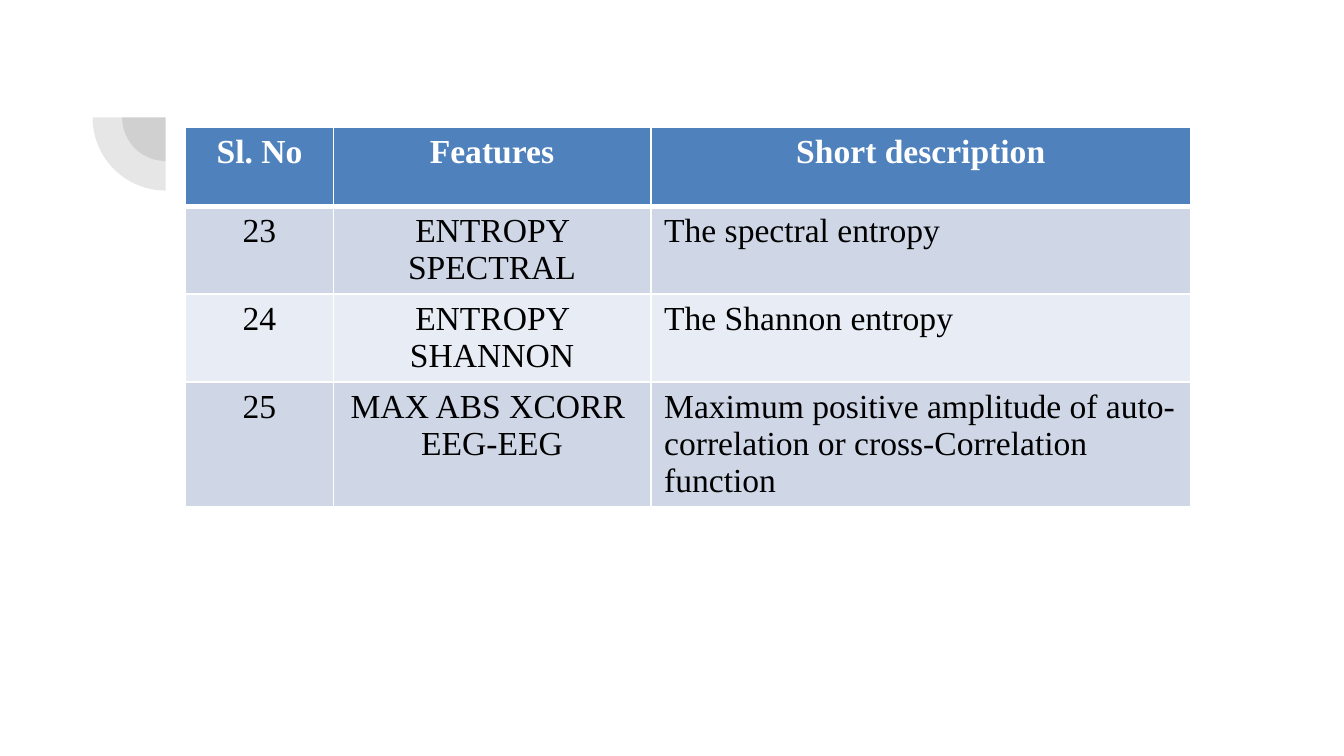
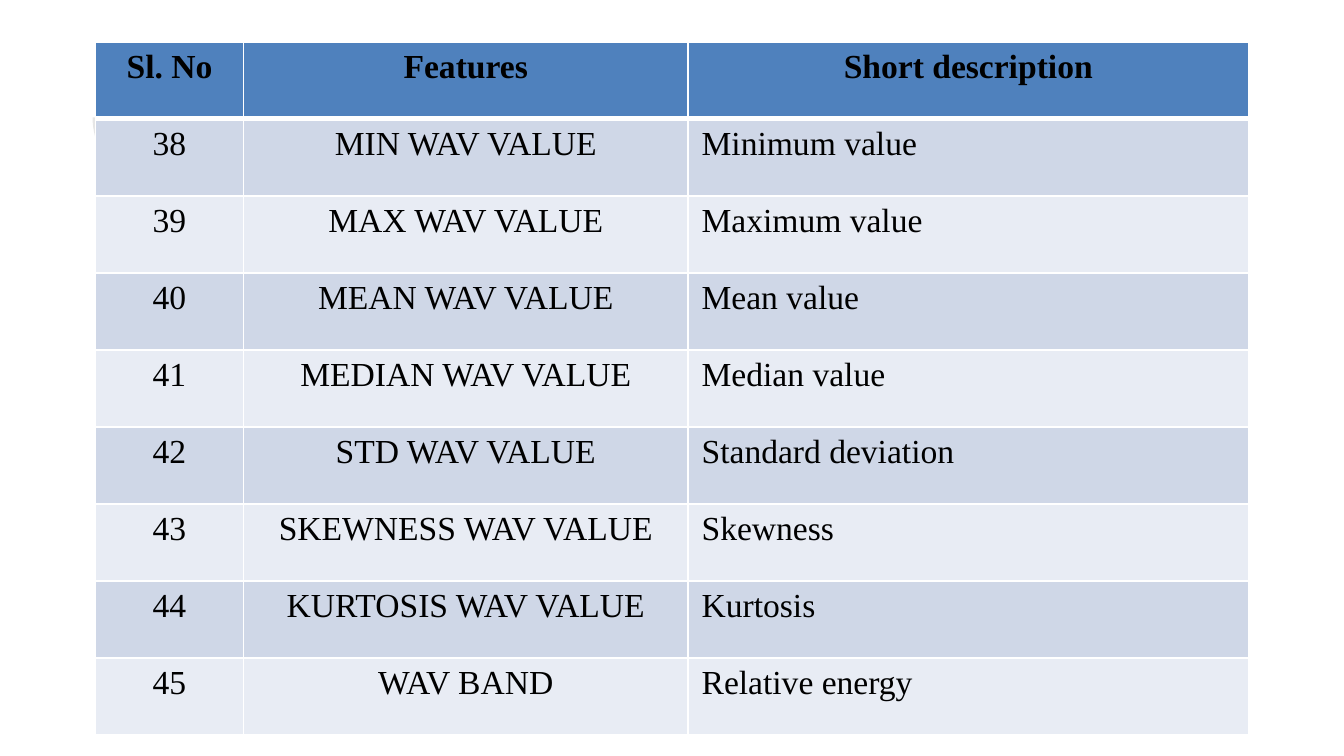
from dataclasses import dataclass

from lxml.etree import SubElement
from pptx import Presentation
from pptx.dml.color import RGBColor
from pptx.enum.shapes import MSO_SHAPE
from pptx.enum.text import PP_ALIGN
from pptx.oxml.ns import qn
from pptx.slide import Slide
from pptx.table import _Cell
from pptx.util import Pt

COLORS = {
    "white": "FFFFFF",
    "black": "000000",
    "header": "4F81BD",
    "band_dark": "CFD7E7",
    "band_light": "E8ECF4",
    "ornament": "424242",
}
FONT = "Times New Roman"
HEADINGS = ("Sl. No", "Features", "Short description")
ORNAMENT_CENTER = (88.8, 62.9)
ORNAMENT_DIAMETERS = (46.8, 78.4)


@dataclass(frozen=True)
class FeatureTable:
    left: float
    top: float
    widths: tuple[float, ...]
    row_height: float
    heading_color: str
    first_number: int
    features: tuple[tuple[str, str], ...]


TABLES = (
    FeatureTable(99.4, 67.9, (79.2, 170, 289.4), 42.5, "white", 23, (
        ("ENTROPY SPECTRAL", "The spectral entropy"),
        ("ENTROPY SHANNON", "The Shannon entropy"),
        ("MAX ABS XCORR \nEEG-EEG",
         "Maximum positive amplitude of auto-correlation or cross-Correlation function"),
    )),
    FeatureTable(51.2, 22.4, (79.2, 238.3, 300.2), 41.3, "black", 38, (
        ("MIN WAV VALUE", "Minimum value"),
        ("MAX WAV VALUE", "Maximum value"),
        ("MEAN WAV VALUE", "Mean value"),
        ("MEDIAN WAV VALUE", "Median value"),
        ("STD WAV VALUE", "Standard deviation"),
        ("SKEWNESS WAV VALUE", "Skewness"),
        ("KURTOSIS WAV VALUE", "Kurtosis"),
        ("WAV BAND", "Relative energy"),
    )),
)


def rgb(name: str) -> RGBColor:
    return RGBColor.from_string(COLORS[name])


def add_ornament(slide: Slide) -> None:
    """Draw the two concentric translucent quarter circles."""
    center_x, center_y = ORNAMENT_CENTER
    for diameter in ORNAMENT_DIAMETERS:
        shape = slide.shapes.add_shape(
            MSO_SHAPE.PIE, Pt(center_x - diameter / 2), Pt(center_y - diameter / 2),
            Pt(diameter), Pt(diameter))
        shape.adjustments[0] = 108
        shape.adjustments[1] = 162
        shape.rotation = 270
        shape.shadow.inherit = False
        shape.line.fill.background()
        shape.fill.solid()
        shape.fill.fore_color.rgb = rgb("ornament")
        color = shape.fill._xPr.find(qn("a:solidFill"))[0]
        SubElement(color, qn("a:alpha")).set("val", "13000")


def set_borders(cell: _Cell, row: int) -> None:
    """White rules, with a heavier one under the heading row."""
    properties = cell._tc.get_or_add_tcPr()
    widths = {"L": 1, "R": 1, "T": 3 if row == 1 else 1, "B": 3 if row == 0 else 1}
    for side, width in widths.items():
        line = SubElement(properties, qn(f"a:ln{side}"), w=str(Pt(width)))
        fill = SubElement(line, qn("a:solidFill"))
        SubElement(fill, qn("a:srgbClr"), val=COLORS["white"])


def fill_cell(cell: _Cell, row: int, column: int, text: str, heading_color: str) -> None:
    is_heading = row == 0
    set_borders(cell, row)
    cell.fill.solid()
    band = "band_dark" if row % 2 else "band_light"
    cell.fill.fore_color.rgb = rgb("header" if is_heading else band)
    cell.text_frame.text = text
    for paragraph in cell.text_frame.paragraphs:
        centered = is_heading or column < 2
        paragraph.alignment = PP_ALIGN.CENTER if centered else PP_ALIGN.LEFT
        for run in paragraph.runs:
            run.font.name = FONT
            run.font.size = Pt(18)
            run.font.bold = is_heading
            run.font.color.rgb = rgb(heading_color if is_heading else "black")


def add_feature_table(slide: Slide, content: FeatureTable) -> None:
    rows = [HEADINGS]
    for number, feature in enumerate(content.features, content.first_number):
        rows.append((str(number), *feature))
    table = slide.shapes.add_table(
        len(rows), len(HEADINGS), Pt(content.left), Pt(content.top),
        Pt(sum(content.widths)), Pt(content.row_height * len(rows))).table
    for column, width in zip(table.columns, content.widths):
        column.width = Pt(width)
    for row, texts in enumerate(rows):
        table.rows[row].height = Pt(content.row_height)
        for column, text in enumerate(texts):
            fill_cell(table.cell(row, column), row, column, text, content.heading_color)


def main() -> None:
    presentation = Presentation()
    presentation.slide_width = Pt(720)
    presentation.slide_height = Pt(405)
    # One slide for each table, over the shared ornament
    for content in TABLES:
        slide = presentation.slides.add_slide(presentation.slide_layouts[6])
        add_ornament(slide)
        add_feature_table(slide, content)
    presentation.save("out.pptx")


if __name__ == "__main__":
    main()
